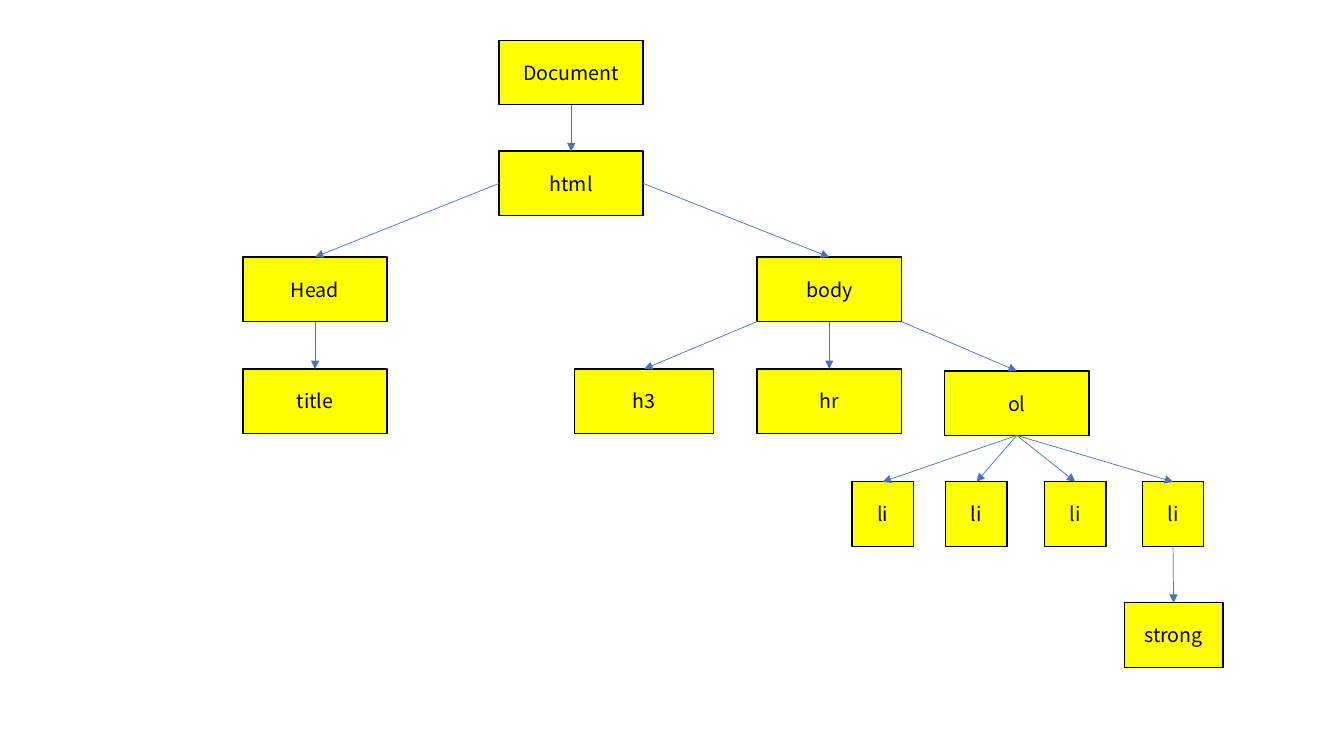
from lxml import etree
from pptx import Presentation
from pptx import util as u
from pptx.dml.color import RGBColor
from pptx.enum import shapes, text
from pptx.oxml import ns

COLORS = {"node": "FFFF00", "ink": "000000", "arrow": "4472C4"}
FONT = "Noto Sans CJK KR"
WIDE, NARROW, NODE_HEIGHT = 1.43, 0.61, 0.64

# name: (label, left, top, width), measured from the tree's corner
NODES = {
    "document": ("Document", 2.54, 0, WIDE),
    "html": ("html", 2.54, 1.1, WIDE),
    "body": ("body", 5.1, 2.15, WIDE),
    "head": ("Head", 0, 2.15, WIDE),
    "title": ("title", 0, 3.26, WIDE),
    "h3": ("h3", 3.29, 3.26, 1.38),
    "hr": ("hr", 5.1, 3.26, WIDE),
    "ol": ("ol", 6.96, 3.28, WIDE),
    "li1": ("li", 6.04, 4.38, NARROW),
    "li2": ("li", 6.97, 4.38, NARROW),
    "li3": ("li", 7.95, 4.38, NARROW),
    "li4": ("li", 8.92, 4.38, NARROW),
    "strong": ("strong", 8.74, 5.58, 0.98),
}

# parent, exit point on the parent, child; every arrow enters at the child's top
LINKS = [
    ("document", "bottom", "html"),
    ("html", "right", "body"),
    ("html", "left", "head"),
    ("body", "bottom", "hr"),
    ("body", "bottom right", "ol"),
    ("body", "bottom left", "h3"),
    *(("ol", "bottom", f"li{number}") for number in range(1, 5)),
    ("li4", "bottom", "strong"),
    ("head", "bottom", "title"),
]
SITES = {"top": 0, "left": 1, "bottom": 2, "right": 3}


def color(name):
    return RGBColor.from_string(COLORS[name])


def add_node(slide, label, left, top, width):
    shape = slide.shapes.add_shape(
        shapes.MSO_SHAPE.RECTANGLE, u.Inches(left), u.Inches(top),
        u.Inches(width), u.Inches(NODE_HEIGHT))
    shape.shadow.inherit = False
    shape.fill.solid()
    shape.fill.fore_color.rgb = color("node")
    shape.line.color.rgb = color("ink")
    shape.line.width = u.Pt(1)
    frame = shape.text_frame
    frame.text = label
    frame.vertical_anchor = text.MSO_ANCHOR.MIDDLE
    paragraph = frame.paragraphs[0]
    paragraph.alignment = text.PP_ALIGN.CENTER
    font = paragraph.runs[0].font
    font.name, font.size = FONT, u.Pt(14)
    font.color.rgb = color("ink")
    return shape


def add_arrow(slide, parent, exit_point, child):
    """Join parent to child, gluing the ends except at a corner."""
    corner_x = parent.left + (parent.width if "right" in exit_point else 0)
    arrow = slide.shapes.add_connector(
        shapes.MSO_CONNECTOR.STRAIGHT, corner_x, parent.top + parent.height,
        child.left + child.width // 2, child.top)
    if exit_point in SITES:
        arrow.begin_connect(parent, SITES[exit_point])
    arrow.end_connect(child, SITES["top"])
    arrow.line.color.rgb = color("arrow")
    arrow.line.width = u.Pt(0.5)
    line = arrow.line._get_or_add_ln()
    etree.SubElement(line, ns.qn("a:tailEnd"), type="triangle")
    etree.SubElement(arrow._element.spPr, ns.qn("a:effectLst"))


def add_tree(slide, left, top):
    nodes = {name: add_node(slide, label, left + x, top + y, width)
             for name, (label, x, y, width) in NODES.items()}
    for parent, exit_point, child in LINKS:
        add_arrow(slide, nodes[parent], exit_point, nodes[child])


def main():
    presentation = Presentation()
    presentation.slide_width = u.Inches(13.33)
    presentation.slide_height = u.Inches(7.5)
    slide = presentation.slides.add_slide(presentation.slide_layouts[6])
    add_tree(slide, left=2.41, top=0.4)
    presentation.save("out.pptx")


if __name__ == "__main__":
    main()
